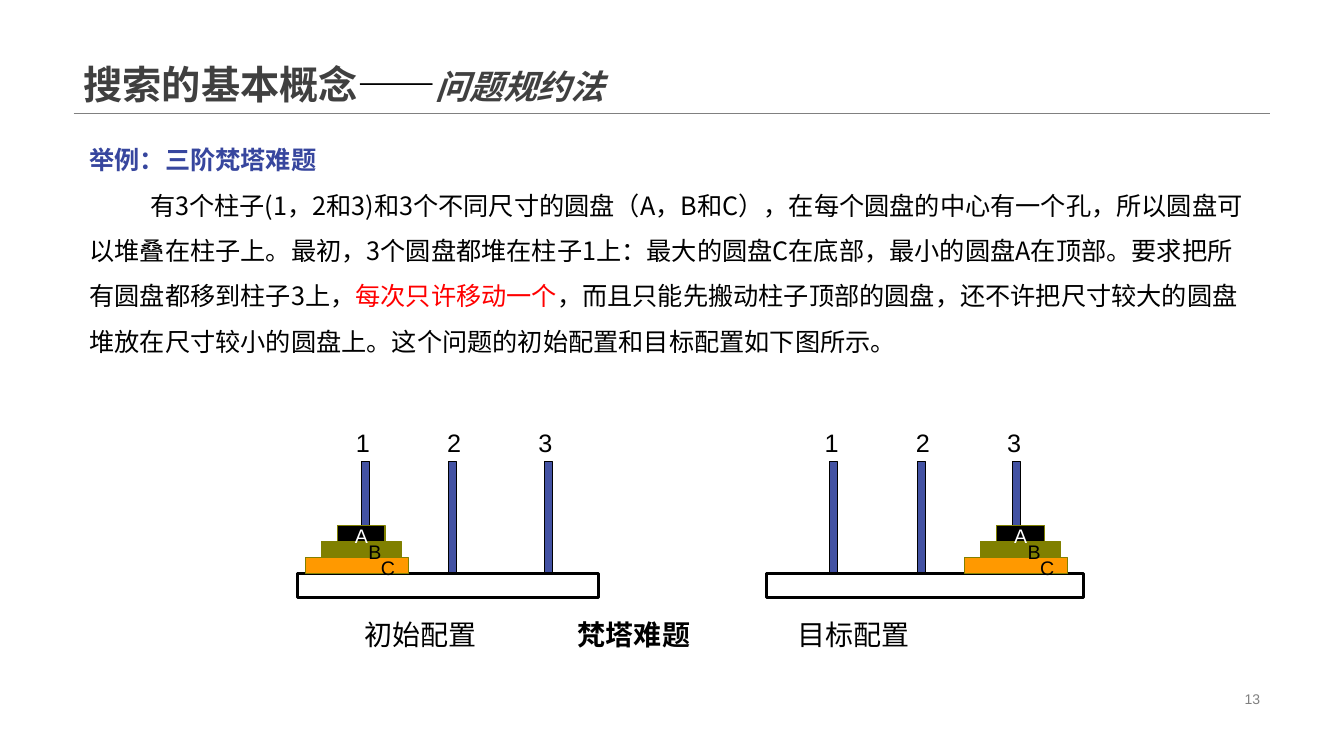
from lxml import etree
from pptx import Presentation
from pptx import util as u
from pptx.dml.color import RGBColor
from pptx.enum import lang, shapes, text
from pptx.oxml import ns

COLORS = {
    "title": "404040", "gray": "808080", "blue": "37469E", "peg": "4352A3",
    "orange": "FF9900", "olive": "808000", "red": "FF0000",
    "black": "000000", "white": "FFFFFF",
}
ALIGN = {"l": text.PP_ALIGN.LEFT, "c": text.PP_ALIGN.CENTER, "r": text.PP_ALIGN.RIGHT}
CELL = 0.1
HEADING = "Arial"
BODY = "Noto Sans CJK SC"


def color(name):
    return RGBColor.from_string(COLORS[name])


def cells(*values):
    return [u.Inches(v * CELL) for v in values]


class Deck:
    """Holds the style and the current slide, measured in tenth-inch columns and rows."""

    def __init__(self, cols, rows):
        self.prs = Presentation()
        self.prs.slide_width, self.prs.slide_height = cells(cols, rows)
        self.s = self.prs.slides.add_slide(self.prs.slide_layouts[5])

    def fill_text(self, sp, paragraphs, align="l", spacing=None, indent=0, **frame):
        tf = sp.text_frame
        fmt = {"word_wrap": True, "auto_size": text.MSO_AUTO_SIZE.NONE,
               "vertical_anchor": text.MSO_ANCHOR.MIDDLE, **frame}
        for name, value in fmt.items():
            setattr(tf, name, value)
        for i, runs in enumerate(paragraphs):
            p = tf.add_paragraph() if i else tf.paragraphs[0]
            p.alignment, p.line_spacing = ALIGN[align], spacing
            if i and indent:
                p._p.get_or_add_pPr().set("indent", str(cells(indent)[0]))
            for content, size, ink, font in runs:
                r = p.add_run()
                r.text = content
                r.font.color.rgb = color(ink)
                style = {"name": HEADING, "size": u.Pt(size), "bold": False,
                         "language_id": lang.MSO_LANGUAGE_ID.SIMPLIFIED_CHINESE, **font}
                for name, value in style.items():
                    setattr(r.font, name, value)

    def title(self, place, runs):
        sp = self.s.shapes.title
        for name, value in zip(("left", "top", "width", "height"), cells(*place)):
            setattr(sp, name, value)
        self.fill_text(sp, [runs], spacing=0.9, vertical_anchor=text.MSO_ANCHOR.BOTTOM)

    def label(self, place, paragraphs, **fmt):
        self.fill_text(self.s.shapes.add_textbox(*cells(*place)), paragraphs, **fmt)

    def rule(self, x1, x2, y):
        sp = self.s.shapes.add_connector(shapes.MSO_CONNECTOR.STRAIGHT, *cells(x1, y, x2, y))
        sp.line.color.rgb, sp.line.width = color("gray"), u.Pt(0.25)
        etree.SubElement(sp._element.spPr, ns.qn("a:effectLst"))

    def rect(self, place, fill, line, width=0.75):
        sp = self.s.shapes.add_shape(shapes.MSO_SHAPE.RECTANGLE, *cells(*place))
        sp.shadow.inherit = False
        sp.fill.solid()
        sp.fill.fore_color.rgb = color(fill)
        sp.line.color.rgb, sp.line.width = color(line), u.Pt(width)
        return sp

    def tower(self, left, width, pegs, numbers):
        self.rect((left, 56.9, width, 2.4), "white", "black", 2)
        for i, x in enumerate(pegs):
            self.rect((x, 45.8, 0.8, 11), "peg", "black")
            center = numbers + 9.05 * i
            self.label((center - 2, 41.9, 4, 4), [[(str(i + 1), 18, "black", {})]], align="c")

    def discs(self, left):
        stack = [("C", 0, 10.2, "orange", "black", 6.2),
                 ("B", 1.6, 7.9, "olive", "black", 2.7),
                 ("A", 3.2, 4.7, "black", "white", 0)]
        for i, (name, dx, width, fill, ink, shift) in enumerate(stack):
            sp = self.rect((left + dx, 55.3 - 1.6 * i, width, 1.6), fill, "olive")
            self.fill_text(sp, [[(name, 14, ink, {})]], align="c", word_wrap=False,
                           margin_left=cells(shift)[0], margin_right=0,
                           margin_top=cells(0.4)[0], margin_bottom=0)


def main():
    d = Deck(133.33, 75)
    d.rule(7.3, 126, 11.2)
    d.title((7.3, 0, 118.7, 11.2), [
        ("搜索的基本概念", 28, "title", {"bold": True}),
        ("——", 28, "black", {"bold": True}),
        ("问题规约法", 24, "title", {"bold": True, "italic": True})])
    d.label((94.2, 68.2, 31.8, 2.3), [[("13", 10, "gray", {})]], align="r")
    font = {"name": BODY}
    d.label((7.9, 12.5, 116.6, 23.2), [
        [("举例：三阶梵塔难题", 18, "blue", {"name": BODY, "bold": True})],
        [("有3个柱子(1，2和3)和3个不同尺寸的圆盘（A，B和C），在每个圆盘的中心有一个孔，"
          "所以圆盘可以堆叠在柱子上。最初，3个圆盘都堆在柱子1上：最大的圆盘C在底部，"
          "最小的圆盘A在顶部。要求把所有圆盘都移到柱子3上，", 18, "black", font),
         ("每次只许移动一个", 18, "red", font),
         ("，而且只能先搬动柱子顶部的圆盘，还不许把尺寸较大的圆盘堆放在尺寸较小的圆盘上。"
          "这个问题的初始配置和目标配置如下图所示。", 18, "black", font)],
    ], spacing=1.5, indent=6)
    d.tower(29.5, 29.9, (35.9, 44.5, 54), 36)
    d.discs(30.3)
    d.tower(76, 31.5, (82.3, 91, 100.4), 82.5)
    d.discs(95.7)
    captions = [("初始配置", 41.7, False), ("梵塔难题", 62.9, True), ("目标配置", 84.7, False)]
    for caption, center, bold in captions:
        d.label((center - 8, 60.8, 16, 4.3), [[(caption, 20, "black", {"bold": bold})]], align="c")
    d.prs.save("out.pptx")


if __name__ == "__main__":
    main()
